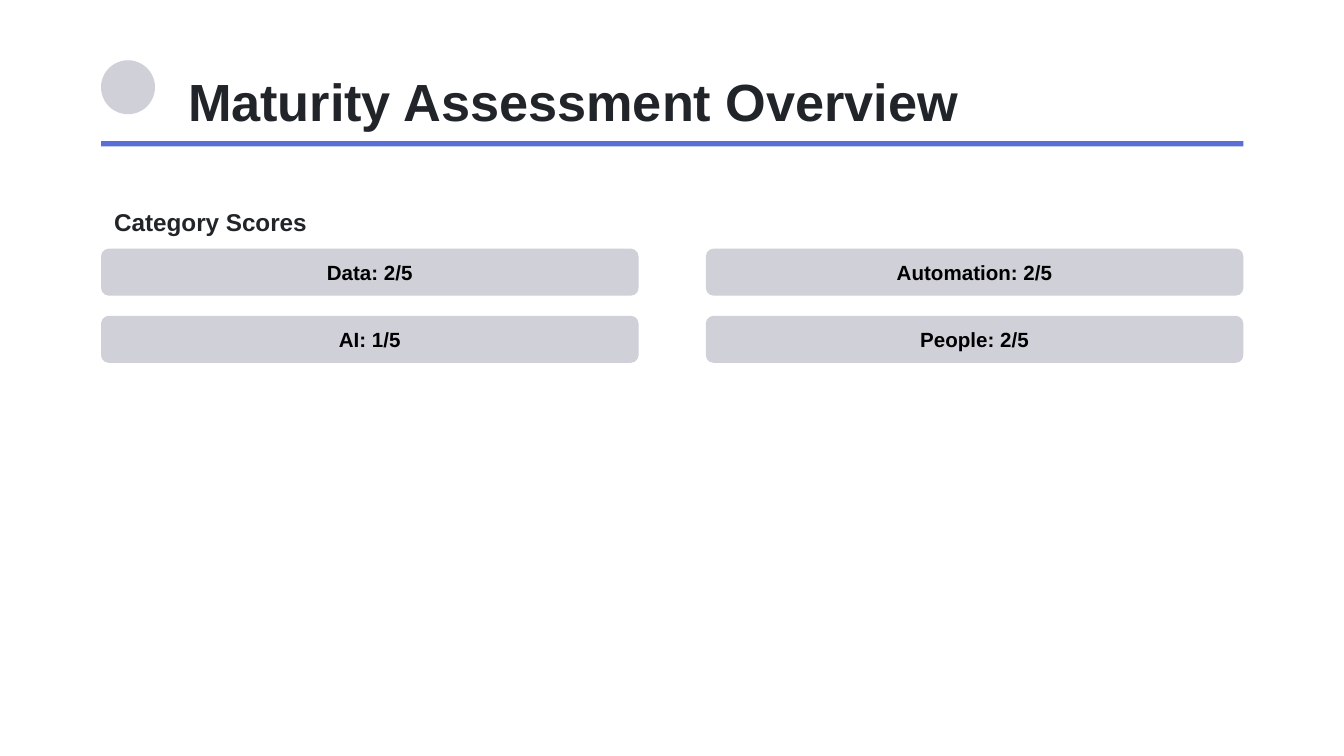
from dataclasses import dataclass

import pptx
import pptx.dml.color
import pptx.enum.shapes
import pptx.enum.text
import pptx.shapes.autoshape
import pptx.slide
import pptx.text.text
import pptx.util

Cm = pptx.util.Cm
RGB = pptx.dml.color.RGBColor
Shapes = pptx.enum.shapes.MSO_SHAPE
Align = pptx.enum.text.PP_ALIGN


@dataclass(frozen=True)
class Theme:
    font: str = "Arial"
    background: RGB = RGB(0xFF, 0xFF, 0xFF)
    heading: RGB = RGB(0x21, 0x25, 0x29)
    score: RGB = RGB(0x00, 0x00, 0x00)
    panel: RGB = RGB(0xCF, 0xD0, 0xD8)
    accent: RGB = RGB(0x5A, 0x6E, 0xD8)
    title_size: int = 28
    section_size: int = 13
    score_size: int = 11


@dataclass(frozen=True)
class Box:
    left: float
    top: float
    width: float
    height: float

    def lengths(self) -> tuple[pptx.util.Length, ...]:
        return Cm(self.left), Cm(self.top), Cm(self.width), Cm(self.height)


@dataclass(frozen=True)
class CategoryScore:
    category: str
    score: int


THEME = Theme()
MARGIN = 1.91
CONTENT_WIDTH = 21.59
MAX_SCORE = 5
COLUMNS = 2
CARD = Box(MARGIN, 4.7, 10.16, 0.89)
COLUMN_STEP = CONTENT_WIDTH - CARD.width
ROW_STEP = 1.27

SCORES = [
    CategoryScore("Data", 2),
    CategoryScore("Automation", 2),
    CategoryScore("AI", 1),
    CategoryScore("People", 2),
]


def write(frame: pptx.text.text.TextFrame, wording: str, size: int, color: RGB,
          align: Align = Align.LEFT) -> None:
    frame.text = wording
    frame.word_wrap = True
    frame.auto_size = pptx.enum.text.MSO_AUTO_SIZE.NONE
    frame.vertical_anchor = pptx.enum.text.MSO_ANCHOR.MIDDLE
    paragraph = frame.paragraphs[0]
    paragraph.alignment = align
    font = paragraph.runs[0].font
    font.name = THEME.font
    font.size = pptx.util.Pt(size)
    font.bold = True
    font.color.rgb = color


def add_panel(slide: pptx.slide.Slide, kind: Shapes, box: Box,
              color: RGB) -> pptx.shapes.autoshape.Shape:
    panel = slide.shapes.add_shape(kind, *box.lengths())
    panel.shadow.inherit = False
    panel.fill.solid()
    panel.fill.fore_color.rgb = color
    panel.line.fill.background()
    return panel


def add_title(slide: pptx.slide.Slide, wording: str, box: Box) -> None:
    title = slide.shapes.title
    title.left, title.top, title.width, title.height = box.lengths()
    write(title.text_frame, wording, THEME.title_size, THEME.heading)


def add_section_heading(slide: pptx.slide.Slide, wording: str, box: Box) -> None:
    heading = slide.shapes.add_textbox(*box.lengths())
    write(heading.text_frame, wording, THEME.section_size, THEME.heading)


def add_score_card(slide: pptx.slide.Slide, entry: CategoryScore, index: int) -> None:
    row, column = divmod(index, COLUMNS)
    box = Box(CARD.left + column * COLUMN_STEP, CARD.top + row * ROW_STEP,
              CARD.width, CARD.height)
    card = add_panel(slide, Shapes.ROUNDED_RECTANGLE, box, THEME.panel)
    write(card.text_frame, f"{entry.category}: {entry.score}/{MAX_SCORE}",
          THEME.score_size, THEME.score, Align.CENTER)


def main() -> None:
    deck = pptx.Presentation()
    deck.slide_width, deck.slide_height = Cm(25.4), Cm(14.29)
    slide = deck.slides.add_slide(deck.slide_layouts.get_by_name("Title Only"))
    slide.background.fill.solid()
    slide.background.fill.fore_color.rgb = THEME.background

    add_panel(slide, Shapes.OVAL, Box(MARGIN, 1.14, 1.02, 1.02), THEME.panel)
    add_title(slide, "Maturity Assessment Overview", Box(3.3, 1.27, 20.19, 1.27))
    add_panel(slide, Shapes.RECTANGLE, Box(MARGIN, 2.67, CONTENT_WIDTH, 0.1), THEME.accent)
    add_section_heading(slide, "Category Scores", Box(MARGIN, 3.81, CONTENT_WIDTH, 0.76))
    for index, entry in enumerate(SCORES):
        add_score_card(slide, entry, index)

    deck.save("out.pptx")


if __name__ == "__main__":
    main()
